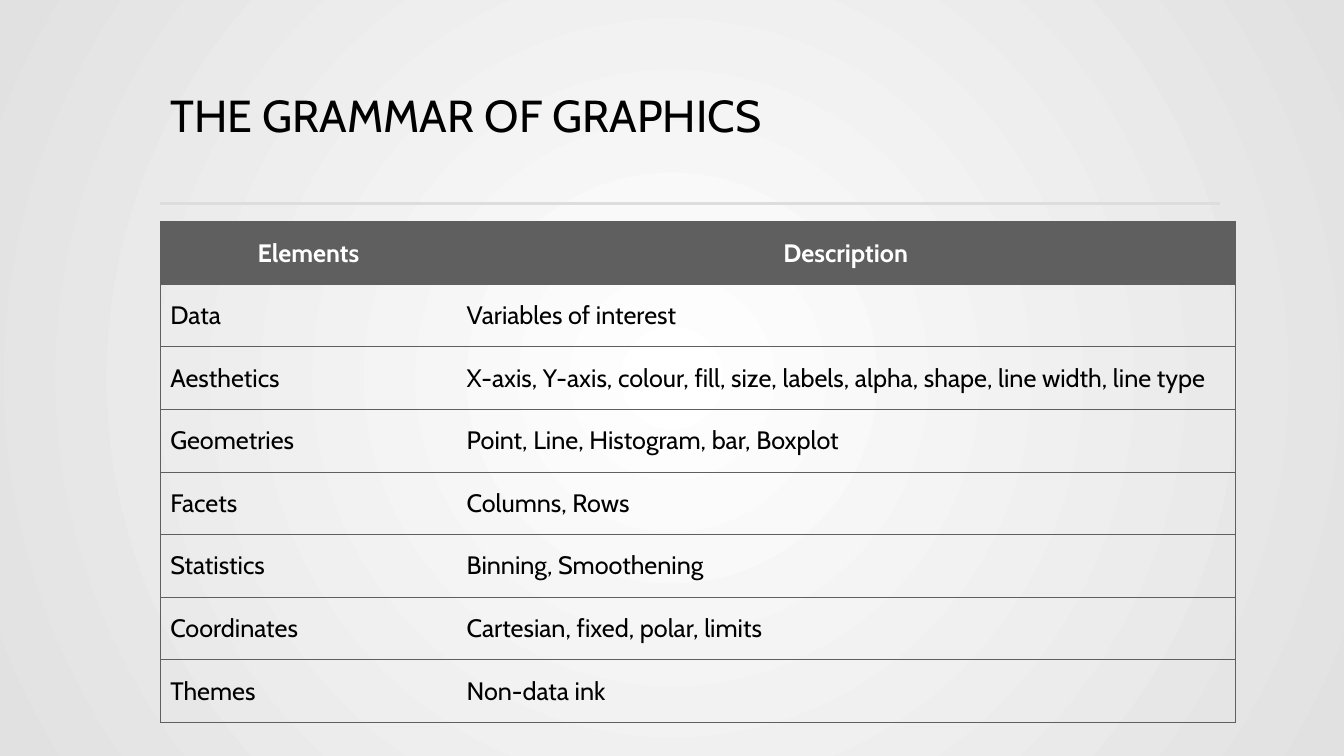
"""Build a slide with a table of the elements of the grammar of graphics."""
from dataclasses import dataclass
from typing import Any

from lxml import etree
from pptx import Presentation
from pptx.dml.color import RGBColor
from pptx.enum.shapes import MSO_CONNECTOR
from pptx.enum.text import MSO_ANCHOR, PP_ALIGN
from pptx.oxml.ns import qn
from pptx.util import Emu, Inches, Pt

STRAIGHT = MSO_CONNECTOR.STRAIGHT
TOP, MIDDLE = MSO_ANCHOR.TOP, MSO_ANCHOR.MIDDLE
LEFT, CENTER = PP_ALIGN.LEFT, PP_ALIGN.CENTER

SLIDE_WIDTH, SLIDE_HEIGHT = Inches(13.33), Inches(7.5)


@dataclass(frozen=True)
class Theme:
    font: str = "Cabin"
    text: str = "000000"
    header_text: str = "FFFFFF"
    header_fill: str = "5F5F5F"
    border: str = "5F5F5F"
    rule: str = "DDDDDD"
    background: tuple[str, str] = ("FFFFFF", "E1E1E1")
    title_size: float = 32
    table_size: float = 18
    rule_width: float = 2.5
    border_width: float = 0.75


@dataclass(frozen=True)
class Element:
    name: str
    description: str


@dataclass(frozen=True)
class Box:
    """Hold a place in percent of the slide's width and height."""
    left: float
    top: float
    width: float
    height: float

    def lengths(self) -> tuple[Emu, Emu, Emu, Emu]:
        return across(self.left), down(self.top), across(self.width), down(self.height)


THEME = Theme()
HEADER = Element("Elements", "Description")
ELEMENTS = [
    Element("Data", "Variables of interest"),
    Element("Aesthetics", "X-axis, Y-axis, colour, fill, size, labels, alpha, shape, line width, line type"),
    Element("Geometries", "Point, Line, Histogram, bar, Boxplot"),
    Element("Facets", "Columns, Rows"),
    Element("Statistics", "Binning, Smoothening"),
    Element("Coordinates", "Cartesian, fixed, polar, limits"),
    Element("Themes", "Non-data ink"),
]
MARGIN = 11.92
TITLE_BOX = Box(MARGIN, 11.73, 78.75, 15.33)
RULE_BOX = Box(MARGIN, 26.93, 78.85, 0)
COLUMN_SHARES = (22.05, 57.92)
ROW_SHARE = 8.28
TABLE_BOX = Box(MARGIN, 29.33, sum(COLUMN_SHARES), ROW_SHARE * (len(ELEMENTS) + 1))


def across(percent: float) -> Emu:
    return Emu(round(SLIDE_WIDTH * percent / 100))


def down(percent: float) -> Emu:
    return Emu(round(SLIDE_HEIGHT * percent / 100))


def apply(target: Any, values: dict[str, Any]) -> None:
    for name, value in values.items():
        setattr(target, name, value)


def write(paragraph: Any, text: str, size: float, color: str, bold: bool = False) -> None:
    run = paragraph.add_run()
    run.text = text
    apply(run.font, {"name": THEME.font, "size": Pt(size), "bold": bold})
    run.font.color.rgb = RGBColor.from_string(color)


def paint_background(slide: Any) -> None:
    fill = slide.background.fill
    fill.gradient()
    for stop, color in zip(fill.gradient_stops, THEME.background):
        stop.color.rgb = RGBColor.from_string(color)
    gradient = slide.element.find(".//" + qn("a:gradFill"))
    linear = gradient.find(qn("a:lin"))
    circle = etree.Element(qn("a:path"), {"path": "circle"})
    etree.SubElement(circle, qn("a:fillToRect"), dict.fromkeys("ltrb", "50000"))
    gradient.replace(linear, circle)


def add_rule(slide: Any, box: Box) -> None:
    left, top, width, height = box.lengths()
    rule = slide.shapes.add_connector(STRAIGHT, left, top, left + width, top + height)
    rule.line.width = Pt(THEME.rule_width)
    rule.line.color.rgb = RGBColor.from_string(THEME.rule)
    etree.SubElement(rule.element.spPr, qn("a:effectLst"))


def add_title(slide: Any, box: Box, text: str) -> None:
    frame = slide.shapes.add_textbox(*box.lengths()).text_frame
    apply(frame, {"word_wrap": True, "vertical_anchor": TOP})
    paragraph = frame.paragraphs[0]
    paragraph.line_spacing = 0.9
    write(paragraph, text, THEME.title_size, THEME.text)


def add_borders(cell: Any, hidden_side: str) -> None:
    properties = cell._tc.get_or_add_tcPr()
    for side in ("lnL", "lnR", "lnT", "lnB"):
        line = etree.SubElement(properties, qn(f"a:{side}"), {"w": str(Pt(THEME.border_width))})
        if side == hidden_side:
            etree.SubElement(line, qn("a:noFill"))
        else:
            solid = etree.SubElement(line, qn("a:solidFill"))
            etree.SubElement(solid, qn("a:srgbClr"), {"val": THEME.border})


def fill_cell(cell: Any, text: str, is_header: bool, hidden_side: str) -> None:
    add_borders(cell, hidden_side)
    cell.vertical_anchor = MIDDLE
    if is_header:
        cell.fill.solid()
        cell.fill.fore_color.rgb = RGBColor.from_string(THEME.header_fill)
    else:
        cell.fill.background()
    paragraph = cell.text_frame.paragraphs[0]
    paragraph.alignment = CENTER if is_header else LEFT
    color = THEME.header_text if is_header else THEME.text
    write(paragraph, text, THEME.table_size, color, is_header)


def add_element_table(slide: Any, box: Box, elements: list[Element]) -> None:
    table = slide.shapes.add_table(len(elements), len(COLUMN_SHARES), *box.lengths()).table
    table.horz_banding = False
    for column, share in zip(table.columns, COLUMN_SHARES):
        column.width = across(share)
    for index, element in enumerate(elements):
        table.rows[index].height = down(ROW_SHARE)
        fill_cell(table.cell(index, 0), element.name, index == 0, "lnR")
        fill_cell(table.cell(index, 1), element.description, index == 0, "lnL")


def main() -> None:
    presentation = Presentation()
    apply(presentation, {"slide_width": SLIDE_WIDTH, "slide_height": SLIDE_HEIGHT})
    slide = presentation.slides.add_slide(presentation.slide_layouts[6])
    paint_background(slide)
    add_rule(slide, RULE_BOX)
    add_title(slide, TITLE_BOX, "THE GRAMMAR OF GRAPHICS")
    add_element_table(slide, TABLE_BOX, [HEADER, *ELEMENTS])
    presentation.save("out.pptx")


if __name__ == "__main__":
    main()
